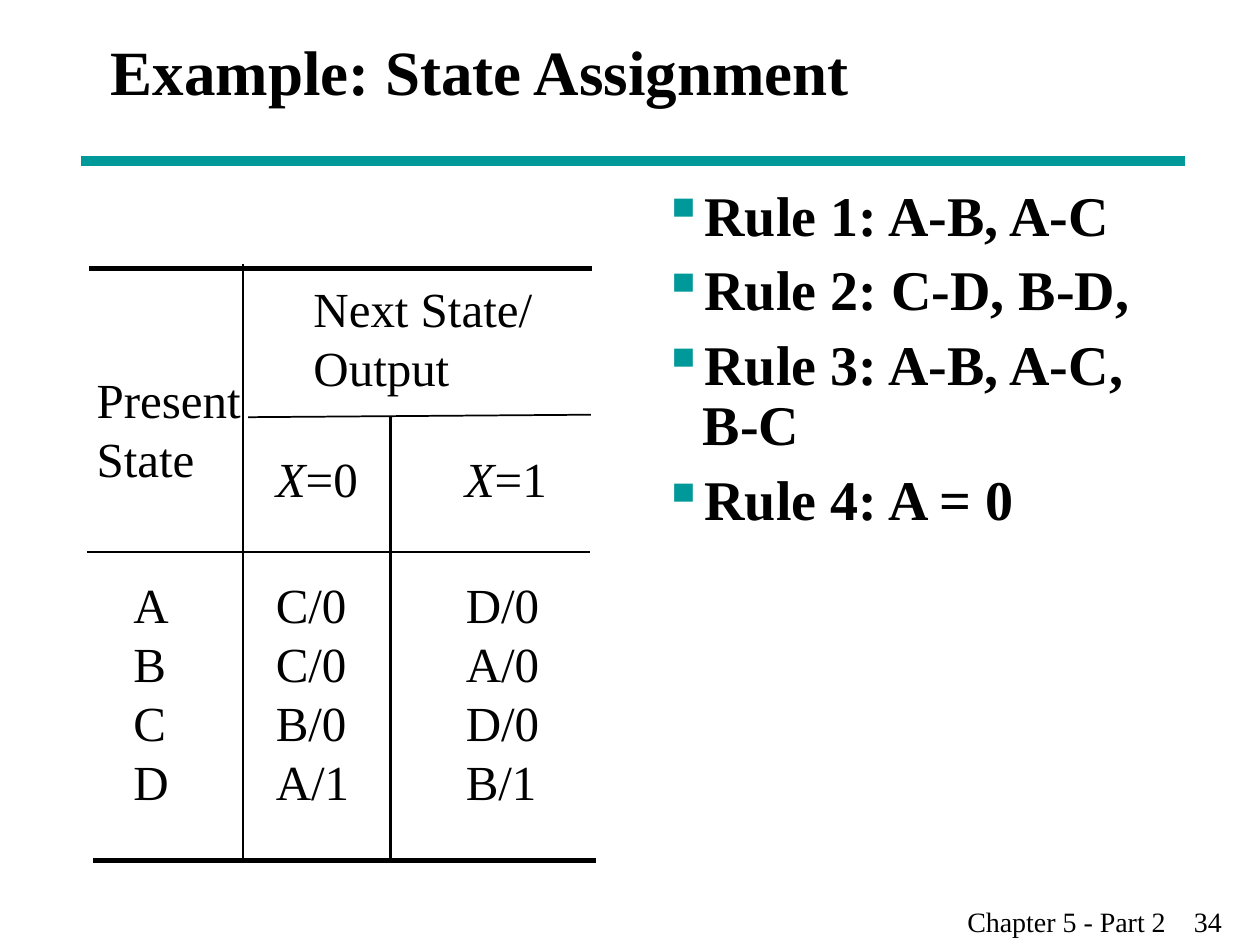
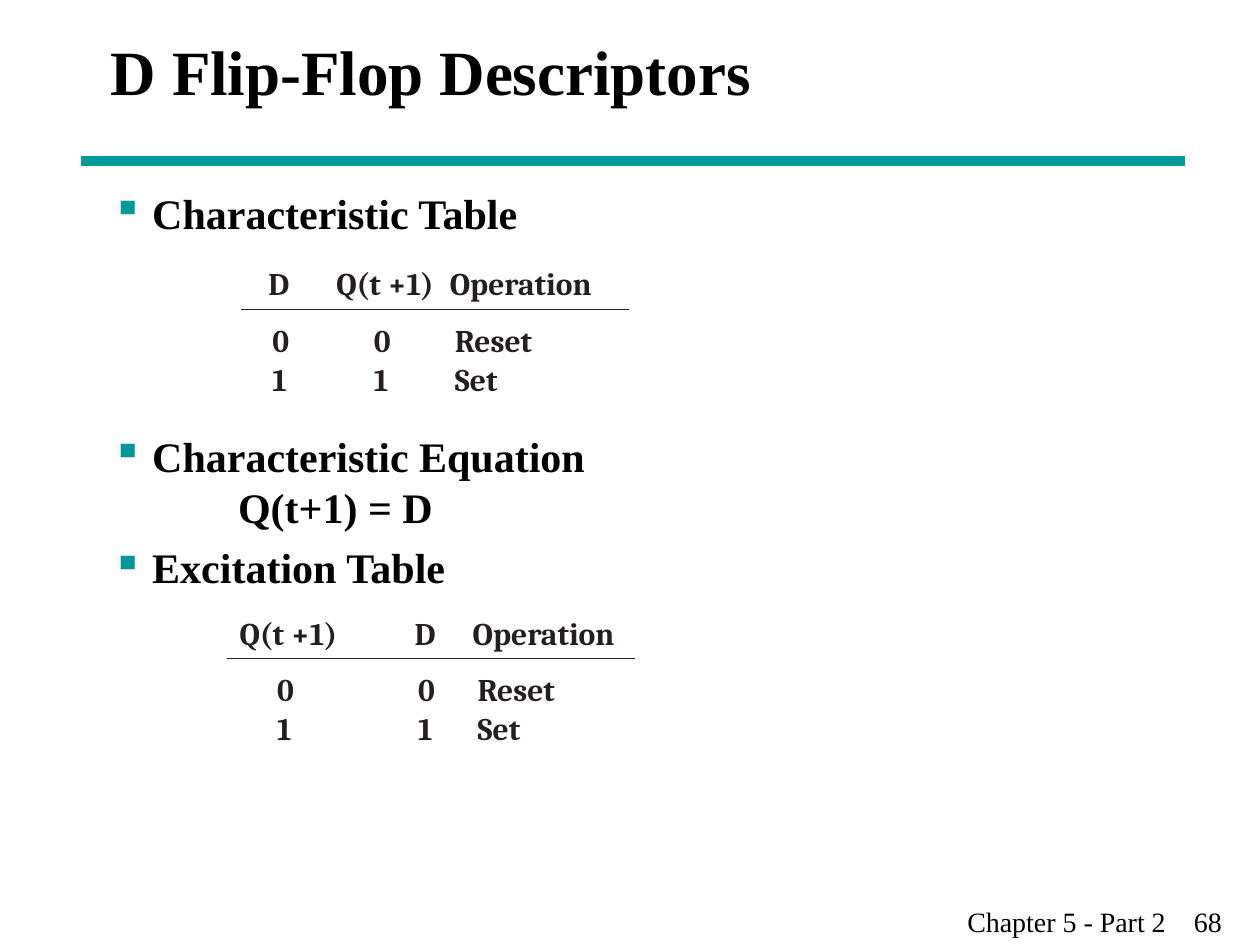
import dataclasses

import lxml.etree
import pptx
import pptx.dml.color
import pptx.enum.shapes
import pptx.enum.text
import pptx.oxml.ns
import pptx.util

Cm = pptx.util.Cm
Pt = pptx.util.Pt


@dataclasses.dataclass(frozen=True)
class Theme:
    serif: str = "Times New Roman"
    table_serif: str = "Cambria"
    ink: str = "000000"
    table_ink: str = "231F20"
    accent: str = "009999"
    title_size: int = 36
    state_size: int = 28
    truth_size: int = 18
    footer_size: int = 16


def add_xml(parent, tag, **attributes):
    return lxml.etree.SubElement(parent, pptx.oxml.ns.qn(tag), attributes)


def add_tab(paragraph, position):
    stops = add_xml(paragraph._p.get_or_add_pPr(), "a:tabLst")
    add_xml(stops, "a:tab", pos=str(int(position)), algn="l")


class Deck:
    def __init__(self, theme):
        self.theme = theme
        self.presentation = pptx.Presentation()
        self.presentation.slide_width = Cm(25.4)
        self.presentation.slide_height = Cm(19.05)
        self.slide = None

    def style(self, font, size, bold=False, family=None, color=None):
        font.name = family or self.theme.serif
        font.size = Pt(size)
        font.bold = bold
        font.color.rgb = pptx.dml.color.RGBColor.from_string(color or self.theme.ink)

    def new_slide(self, heading, page, heading_width):
        """Start a slide with its title, teal band and footer."""
        layout = self.presentation.slide_layouts.get_by_name("Title Only")
        self.slide = self.presentation.slides.add_slide(layout)
        self.line(1.63, 3.25, 23.88, 3.25, 6, self.theme.accent)

        title = self.slide.shapes.title
        title.left, title.top = Cm(1.98), Cm(0)
        title.width, title.height = Cm(heading_width), Cm(2.84)
        frame = title.text_frame
        frame.text = heading
        frame.auto_size = pptx.enum.text.MSO_AUTO_SIZE.NONE
        frame.vertical_anchor = pptx.enum.text.MSO_ANCHOR.MIDDLE
        frame.paragraphs[0].alignment = pptx.enum.text.PP_ALIGN.LEFT
        self.style(frame.paragraphs[0].font, self.theme.title_size, bold=True)

        footer = self.frame(19.25, 18.11, 6.15, 0.94).paragraphs[0]
        footer.text = f"Chapter 5 - Part 2\t{page}"
        add_tab(footer, Cm(4.57))
        self.style(footer.font, self.theme.footer_size)

    def line(self, x1, y1, x2, y2, weight, color=None):
        connector = self.slide.shapes.add_connector(
            pptx.enum.shapes.MSO_CONNECTOR.STRAIGHT, Cm(x1), Cm(y1), Cm(x2), Cm(y2))
        connector.line.width = Pt(weight)
        connector.line.color.rgb = pptx.dml.color.RGBColor.from_string(
            color or self.theme.ink)
        add_xml(connector._element.spPr, "a:effectLst")

    def frame(self, left, top, width, height, wrap=True):
        box = self.slide.shapes.add_textbox(Cm(left), Cm(top), Cm(width), Cm(height))
        box.text_frame.word_wrap = wrap
        return box.text_frame

    def state_text(self, left, top, width, height, text, wrap=False):
        frame = self.frame(left, top, width, height, wrap)
        frame.text = text
        for paragraph in frame.paragraphs:
            self.style(paragraph.font, self.theme.state_size)

    def input_heading(self, left, top, value):
        """Write a column heading such as X=0, with X in italics."""
        paragraph = self.frame(left, top, 2.16, 1.45, wrap=False).paragraphs[0]
        self.style(paragraph.font, self.theme.state_size)
        variable = paragraph.add_run()
        variable.text = "X"
        variable.font.italic = True
        paragraph.add_run().text = f"={value}"

    def bullets(self, left, width, items, size, line_spacing=1.0):
        """Write bullets from (text, space before in points) pairs."""
        frame = self.frame(left, 3.66, width, 13.97)
        for index, (text, gap) in enumerate(items):
            paragraph = frame.add_paragraph() if index else frame.paragraphs[0]
            paragraph.text = text
            paragraph.line_spacing = line_spacing
            if gap:
                paragraph.space_before = Pt(gap)
            properties = paragraph._p.get_or_add_pPr()
            properties.set("marL", str(int(Cm(0.81))))
            properties.set("indent", str(int(Cm(-0.81))))
            add_xml(add_xml(properties, "a:buClr"), "a:srgbClr", val=self.theme.accent)
            add_xml(properties, "a:buChar", char="▪")
            add_tab(paragraph, Cm(2.54))
            self.style(paragraph.font, size, bold=True)

    def truth_text(self, left, top, width, text):
        frame = self.frame(left, top, width, 0.76, wrap=False)
        frame.margin_left = frame.margin_right = 0
        frame.margin_top = frame.margin_bottom = 0
        frame.text = text
        self.style(frame.paragraphs[0].font, self.theme.truth_size, bold=True,
                   family=self.theme.table_serif, color=self.theme.table_ink)

    def truth_table(self, top, rule_left, rule_right, columns):
        """Draw columns of (heading, heading left, width, values left, values)."""
        rule_top = top + 0.9
        self.line(rule_left, rule_top, rule_right, rule_top, 0.5, self.theme.table_ink)
        for heading, heading_left, width, values_left, values in columns:
            self.truth_text(heading_left, top, width, heading)
            for row, value in enumerate(values):
                self.truth_text(values_left, top + 1.14 + row * 0.78, width, value)


def state_assignment(deck):
    deck.new_slide("Example: State Assignment", 34, heading_width=22.3)
    rules = ["Rule 1: A-B, A-C", "Rule 2: C-D, B-D,", "Rule 3: A-B, A-C, B-C",
             "Rule 4: A = 0"]
    deck.bullets(13.11, 10.49, [(rule, 8 if index else 0)
                                for index, rule in enumerate(rules)],
                 size=32, line_spacing=0.9)

    for x1, y1, x2, y2, weight in [
        (1.8, 5.41, 11.94, 5.41, 3),
        (1.88, 17.35, 12.01, 17.35, 3),
        (4.9, 5.33, 4.9, 17.35, 1.5),
        (7.87, 8.41, 7.87, 17.35, 1.5),
        (5, 8.41, 11.91, 8.36, 1),
        (1.75, 11.13, 11.89, 11.13, 1),
    ]:
        deck.line(x1, y1, x2, y2, weight)

    deck.state_text(1.7, 7.32, 3.61, 2.64, "Present State", wrap=True)
    deck.state_text(6.07, 5.49, 5.31, 2.64, "Next State/ Output", wrap=True)
    for value, left in enumerate([5.31, 9.12]):
        deck.input_heading(left, 8.92, value)
    for left, width, states in [
        (2.44, 1.22, ["A", "B", "C", "D"]),
        (5.31, 1.98, ["C/0", "C/0", "B/0", "A/1"]),
        (9.14, 1.98, ["D/0", "A/0", "D/0", "B/1"]),
    ]:
        deck.state_text(left, 11.46, width, 5, "\n".join(states))


def flip_flop_descriptors(deck):
    deck.new_slide("D Flip-Flop Descriptors", 68, heading_width=21.59)
    deck.bullets(2.01, 21.59, [
        ("Characteristic Table", 0),
        ("Characteristic Equation\v\tQ(t+1) = D", 110),
        ("Excitation Table", 6),
    ], size=24)

    bits = ["0", "1"]
    operations = ["Reset", "Set"]
    deck.truth_table(5.33, 4.85, 12.67, [
        ("D", 5.41, 0.48, 5.49, bits),
        ("Q(t +1)", 6.78, 2.01, 7.54, bits),
        ("Operation", 9.07, 3.28, 9.17, operations),
    ])
    deck.truth_table(12.37, 4.57, 12.8, [
        ("Q(t +1)", 4.83, 2.06, 5.59, bits),
        ("D", 8.36, 0.48, 8.43, bits),
        ("Operation", 9.53, 3.28, 9.63, operations),
    ])


def main():
    deck = Deck(Theme())
    state_assignment(deck)
    flip_flop_descriptors(deck)
    deck.presentation.save("out.pptx")


if __name__ == "__main__":
    main()
